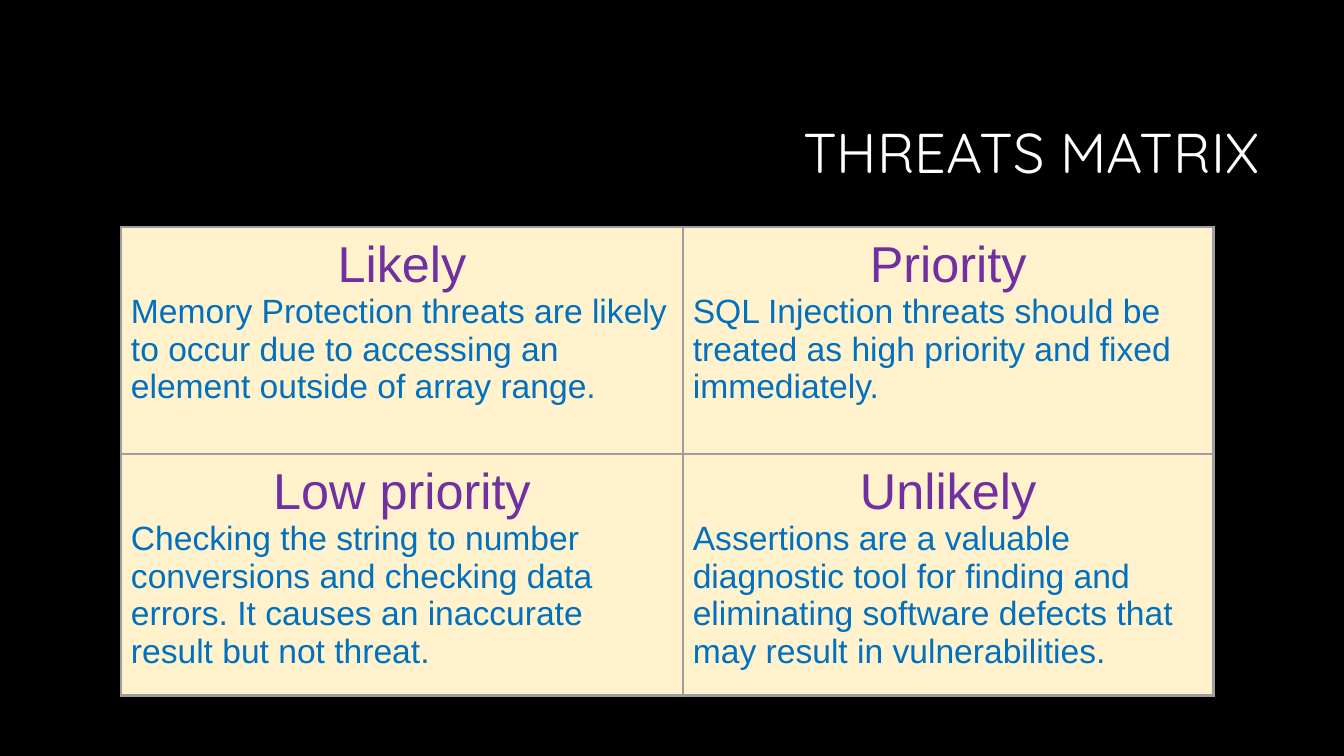
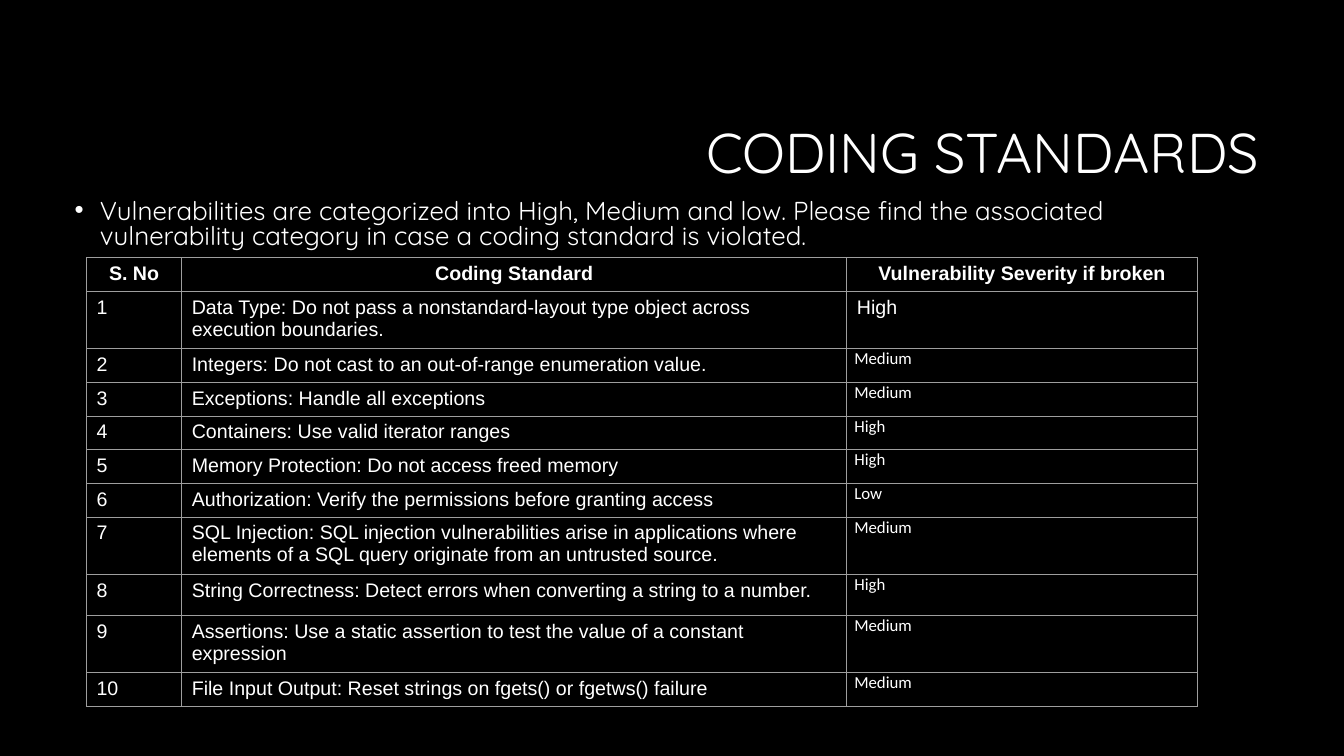
"""Build two slides: a threats matrix and a table of coding standards."""
from dataclasses import dataclass

from lxml import etree
from pptx import Presentation
from pptx import util as u
from pptx.dml.color import RGBColor
from pptx.enum import text
from pptx.oxml.ns import qn


@dataclass(frozen=True)
class Theme:
    background: str = "000000"
    light: str = "FFFFFF"
    border: str = "9E9E9E"
    cream: str = "FFF2CC"
    purple: str = "7030A0"
    blue: str = "0070C0"
    display_font: str = "Quicksand"
    table_font: str = "Arial"
    rating_font: str = "Calibri"
    title_size: float = 40
    heading_size: float = 36
    detail_size: float = 24
    intro_size: float = 18.5
    table_size: float = 14
    rating_size: float = 12


theme = Theme()
align = text.PP_ALIGN


def write(paragraph, words, font, size, color=theme.light, alignment=align.LEFT, bold=False):
    """Fill a paragraph with words in one style."""
    paragraph.text = words
    paragraph.alignment = alignment
    paragraph.font.name = font
    paragraph.font.size = u.Pt(size)
    paragraph.font.bold = bold
    paragraph.font.color.rgb = RGBColor.from_string(color)


def add_grid(slide, left, top, widths, heights, border, fill=None):
    """Add a plain bordered table with sizes in centimetres."""
    table = slide.shapes.add_table(len(heights), len(widths), u.Cm(left), u.Cm(top),
                                   u.Cm(sum(widths)), u.Cm(sum(heights))).table
    table.first_row = table.horz_banding = False
    for column, width in zip(table.columns, widths):
        column.width = u.Cm(width)
    for row, height in zip(table.rows, heights):
        row.height = u.Cm(height)
    for cell in table.iter_cells():
        properties = cell._tc.get_or_add_tcPr()
        for side in ("lnL", "lnR", "lnT", "lnB"):
            line = etree.SubElement(properties, qn(f"a:{side}"), w=str(u.Pt(border)))
            solid = etree.SubElement(line, qn("a:solidFill"))
            etree.SubElement(solid, qn("a:srgbClr"), val=theme.border)
        if fill:
            cell.fill.solid()
            cell.fill.fore_color.rgb = RGBColor.from_string(fill)
        else:
            cell.fill.background()
    return table


presentation = Presentation()
presentation.slide_width = u.Cm(33.87)
presentation.slide_height = u.Cm(19.05)
backdrop = presentation.slide_master.background.fill
backdrop.solid()
backdrop.fore_color.rgb = RGBColor.from_string(theme.background)

slides = []
for title in ("THREATS MATRIX", "CODING STANDARDS"):
    slide = presentation.slides.add_slide(presentation.slide_layouts[6])
    frame = slide.shapes.add_textbox(u.Cm(8.05), u.Cm(2.13), u.Cm(23.93), u.Cm(3.58)).text_frame
    frame.word_wrap = True
    frame.vertical_anchor = text.MSO_ANCHOR.MIDDLE
    write(frame.paragraphs[0], title, theme.display_font, theme.title_size, alignment=align.RIGHT)
    frame.paragraphs[0].line_spacing = 0.9
    slides.append(slide)
matrix_slide, standards_slide = slides

threats = [
    ("Likely", "Memory Protection threats are likely to occur due to accessing an element "
               "outside of array range."),
    ("Priority", "SQL Injection threats should be treated as high priority and fixed immediately."),
    ("Low priority", "Checking the string to number conversions and checking data errors. "
                     "It causes an inaccurate result but not threat."),
    ("Unlikely", "Assertions are a valuable diagnostic tool for finding and eliminating software "
                 "defects that may result in vulnerabilities."),
]
matrix = add_grid(matrix_slide, 3.05, 5.72, [14.16, 13.37], [5.72] * 2, 2.25, theme.cream)
for cell, (heading, detail) in zip(matrix.iter_cells(), threats):
    cell.margin_left = cell.margin_right = cell.margin_top = cell.margin_bottom = u.Cm(0.25)
    write(cell.text_frame.paragraphs[0], heading, theme.table_font, theme.heading_size,
          theme.purple, align.CENTER)
    write(cell.text_frame.add_paragraph(), detail, theme.table_font, theme.detail_size, theme.blue)

frame = standards_slide.shapes.add_textbox(u.Cm(1.63), u.Cm(4.93), u.Cm(30.05), u.Cm(1.57)).text_frame
frame.word_wrap = True
intro = frame.paragraphs[0]
write(intro, "Vulnerabilities are categorized into High, Medium and low. Please find the associated "
             "vulnerability category in case a coding standard is violated.",
      theme.display_font, theme.intro_size)
intro.line_spacing = 0.8
properties = intro._p.get_or_add_pPr()
properties.set("marL", str(u.Cm(0.64)))
properties.set("indent", str(u.Cm(-0.64)))
bullet_color = etree.SubElement(properties, qn("a:buClr"))
etree.SubElement(bullet_color, qn("a:srgbClr"), val=theme.light)
etree.SubElement(properties, qn("a:buFont"), typeface=theme.table_font)
etree.SubElement(properties, qn("a:buChar"), char="•")
properties.append(properties.find(qn("a:defRPr")))

headers = ("S. No", "Coding Standard", "Vulnerability Severity if broken")
single, medium, double = 0.81, 1.04, 1.37
standards = [
    ("Data Type: Do not pass a nonstandard-layout type object across execution boundaries.",
     "High", double),
    ("Integers: Do not cast to an out-of-range enumeration value.", "Medium", single),
    ("Exceptions: Handle all exceptions", "Medium", single),
    ("Containers: Use valid iterator ranges", "High", single),
    ("Memory Protection: Do not access freed memory", "High", single),
    ("Authorization: Verify the permissions before granting access", "Low", single),
    ("SQL Injection: SQL injection vulnerabilities arise in applications where elements of a SQL "
     "query originate from an untrusted source.", "Medium", double),
    ("String Correctness: Detect errors when converting a string to a number.", "High", medium),
    ("Assertions: Use a static assertion to test the value of a constant expression",
     "Medium", double),
    ("File Input Output: Reset strings on fgets() or fgetws() failure", "Medium", single),
]
heights = [0.83] + [height for _, _, height in standards]
table = add_grid(standards_slide, 2.18, 6.5, [2.4, 16.76, 8.84], heights, 0.75)
for column, header in enumerate(headers):
    write(table.cell(0, column).text_frame.paragraphs[0], header, theme.table_font,
          theme.table_size, alignment=align.CENTER, bold=True)
for number, (standard, severity, _) in enumerate(standards, 1):
    for column, words in enumerate((str(number), standard, severity)):
        cell = table.cell(number, column)
        font, size = theme.table_font, theme.table_size
        if column == 2 and number > 1:
            font, size = theme.rating_font, theme.rating_size
            cell.margin_left = cell.margin_right = u.Cm(0.19)
            cell.margin_top = cell.margin_bottom = 0
        write(cell.text_frame.paragraphs[0], words, font, size)

presentation.save("out.pptx")
